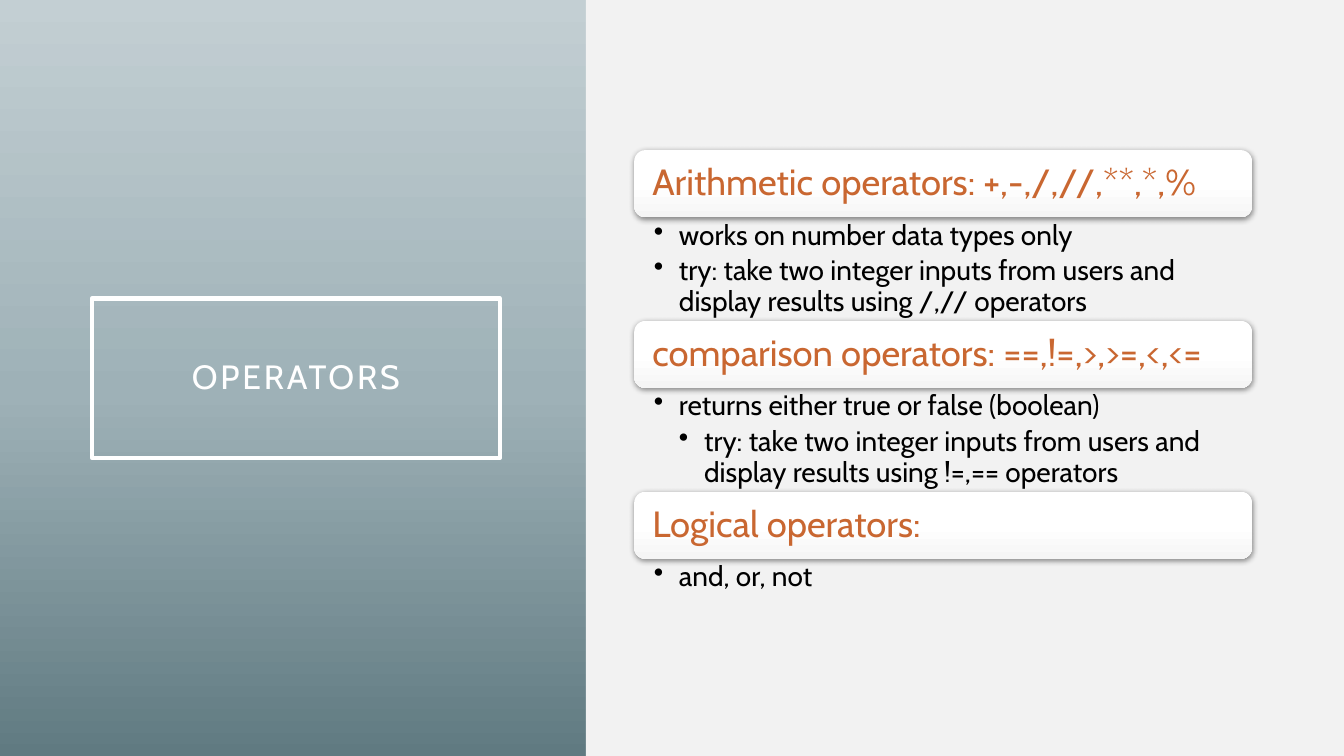
from dataclasses import dataclass

from lxml import etree
from pptx import Presentation
from pptx.dml.color import RGBColor
from pptx.enum.shapes import MSO_SHAPE
from pptx.enum.text import MSO_ANCHOR, PP_ALIGN
from pptx.oxml.ns import qn
from pptx.util import Pt

RECTANGLE = MSO_SHAPE.RECTANGLE
ROUNDED = MSO_SHAPE.ROUNDED_RECTANGLE
TOP, MIDDLE = MSO_ANCHOR.TOP, MSO_ANCHOR.MIDDLE
LEFT, CENTER = PP_ALIGN.LEFT, PP_ALIGN.CENTER


@dataclass(frozen=True)
class Theme:
    """Colours, font and type sizes of the slide."""
    font: str = "Cabin"
    white: str = "FFFFFF"
    black: str = "000000"
    accent: str = "C96731"
    panel: str = "F2F2F2"
    backdrop: tuple = ((0, "607A81"), (48, "9EB1B7"), (100, "C3CFD3"))
    card: tuple = ((0, "FFFFFF"), (50, "FFFFFF"), (100, "F5F5F5"))
    title_size: int = 24
    heading_size: int = 26
    bullet_size: int = 20


THEME = Theme()
SLIDE_WIDTH, SLIDE_HEIGHT = 960, 540
PANEL_LEFT = 418.5
CARD_LEFT, CARD_TOP, CARD_WIDTH, CARD_HEIGHT = 453, 107.2, 441.4, 48
SECTION_PITCH = 122
BULLET_INDENT = 18

# Heading, height of the bullet area, bullets as (level, text)
SECTIONS = (
    ("Arithmetic operators: +,-,/,//,**,*,%", 74, (
        (1, "works on number data types only"),
        (1, "try: take two integer inputs from users and "
            "display results using /,// operators"))),
    ("comparison operators: ==,!=,>,>=,<,<=", 74, (
        (1, "returns either true or false (boolean)"),
        (2, "try: take two integer inputs from users and "
            "display results using !=,== operators"))),
    ("Logical operators:", 34, ((1, "and, or, not"),)),
)


def add_child(parent, tag, **attributes):
    """Append a DrawingML element with the given attributes."""
    child = etree.SubElement(parent, qn(tag))
    for name, value in attributes.items():
        child.set(name, str(value))
    return child


def paint_gradient(fill, owner, stops, angle):
    """Give the fill of the owner element a linear gradient."""
    fill.gradient()
    fill.gradient_angle = angle
    stop_list = next(owner.iter(qn("a:gsLst")))
    for stop in list(stop_list):
        stop_list.remove(stop)
    for position, color in stops:
        stop = add_child(stop_list, "a:gs", pos=position * 1000)
        add_child(stop, "a:srgbClr", val=color)


def add_box(slide, kind, left, top, width, height, fill=None):
    """Add a preset shape without outline or shadow."""
    shape = slide.shapes.add_shape(kind, Pt(left), Pt(top), Pt(width), Pt(height))
    shape.shadow.inherit = False
    shape.line.fill.background()
    if fill:
        shape.fill.solid()
        shape.fill.fore_color.rgb = RGBColor.from_string(fill)
    else:
        shape.fill.background()
    return shape


def add_shadow(shape):
    """Put a soft shadow below a shape."""
    effects = next(shape.element.iter(qn("a:effectLst")))
    shadow = add_child(effects, "a:outerShdw", blurRad=Pt(4.4), dist=Pt(1.2),
                       dir=90 * 60000, algn="ctr", rotWithShape=0)
    color = add_child(shadow, "a:srgbClr", val=THEME.black)
    add_child(color, "a:alpha", val=45000)


def set_frame(frame, insets, anchor):
    """Set wrapping, anchor and the insets (left, top, right, bottom)."""
    frame.word_wrap = True
    frame.vertical_anchor = anchor
    (frame.margin_left, frame.margin_top,
     frame.margin_right, frame.margin_bottom) = map(Pt, insets)


def write(paragraph, text, *, size, color, align=LEFT, after=0, tracking=0):
    """Write one formatted run into a paragraph."""
    paragraph.alignment = align
    paragraph.line_spacing = 0.9
    paragraph.space_after = Pt(after)
    run = paragraph.add_run()
    run.text = text
    run.font.name = THEME.font
    run.font.size = Pt(size)
    run.font.color.rgb = RGBColor.from_string(color)
    if tracking:
        run.font._element.set("spc", str(tracking * 100))


def add_title(slide, text):
    """Add the outlined title box."""
    shape = add_box(slide, RECTANGLE, 65.5, 213.2, 291.6, 113.8)
    shape.line.color.rgb = RGBColor.from_string(THEME.white)
    shape.line.width = Pt(3)
    set_frame(shape.text_frame, (14.4,) * 4, MIDDLE)
    write(shape.text_frame.paragraphs[0], text, size=THEME.title_size,
          color=THEME.white, align=CENTER, tracking=2)


def add_heading(slide, text, top):
    """Add a raised card that carries a section heading."""
    card = add_box(slide, ROUNDED, CARD_LEFT, top, CARD_WIDTH, CARD_HEIGHT)
    paint_gradient(card.fill, card.element, THEME.card, 270)
    add_shadow(card)
    set_frame(card.text_frame, (10.6, 8, 10.6, 8), MIDDLE)
    write(card.text_frame.paragraphs[0], text,
          size=THEME.heading_size, color=THEME.accent)


def add_bullets(slide, bullets, top, height):
    """Add the bulleted lines of a section."""
    box = slide.shapes.add_textbox(Pt(CARD_LEFT), Pt(top), Pt(CARD_WIDTH), Pt(height))
    frame = box.text_frame
    set_frame(frame, (14, 2.6, 14.4, 2.6), TOP)
    for index, (level, text) in enumerate(bullets):
        paragraph = frame.add_paragraph() if index else frame.paragraphs[0]
        paragraph.level = level
        write(paragraph, text, size=THEME.bullet_size, color=THEME.black, after=4)
        properties = paragraph._p.get_or_add_pPr()
        properties.set("marL", str(Pt(level * BULLET_INDENT)))
        properties.set("indent", str(Pt(-BULLET_INDENT)))
        add_child(properties, "a:buChar", char="•")


def main():
    """Build the slide and save it."""
    presentation = Presentation()
    presentation.slide_width = Pt(SLIDE_WIDTH)
    presentation.slide_height = Pt(SLIDE_HEIGHT)
    slide = presentation.slides.add_slide(presentation.slide_layouts[6])
    paint_gradient(slide.background.fill, slide.element, THEME.backdrop, 90)
    add_title(slide, "OPERATORS")
    add_box(slide, RECTANGLE, PANEL_LEFT, 0, SLIDE_WIDTH - PANEL_LEFT,
            SLIDE_HEIGHT, THEME.panel)
    for index, (heading, height, bullets) in enumerate(SECTIONS):
        top = CARD_TOP + index * SECTION_PITCH
        add_heading(slide, heading, top)
        add_bullets(slide, bullets, top + CARD_HEIGHT, height)
    presentation.save("out.pptx")


main()
